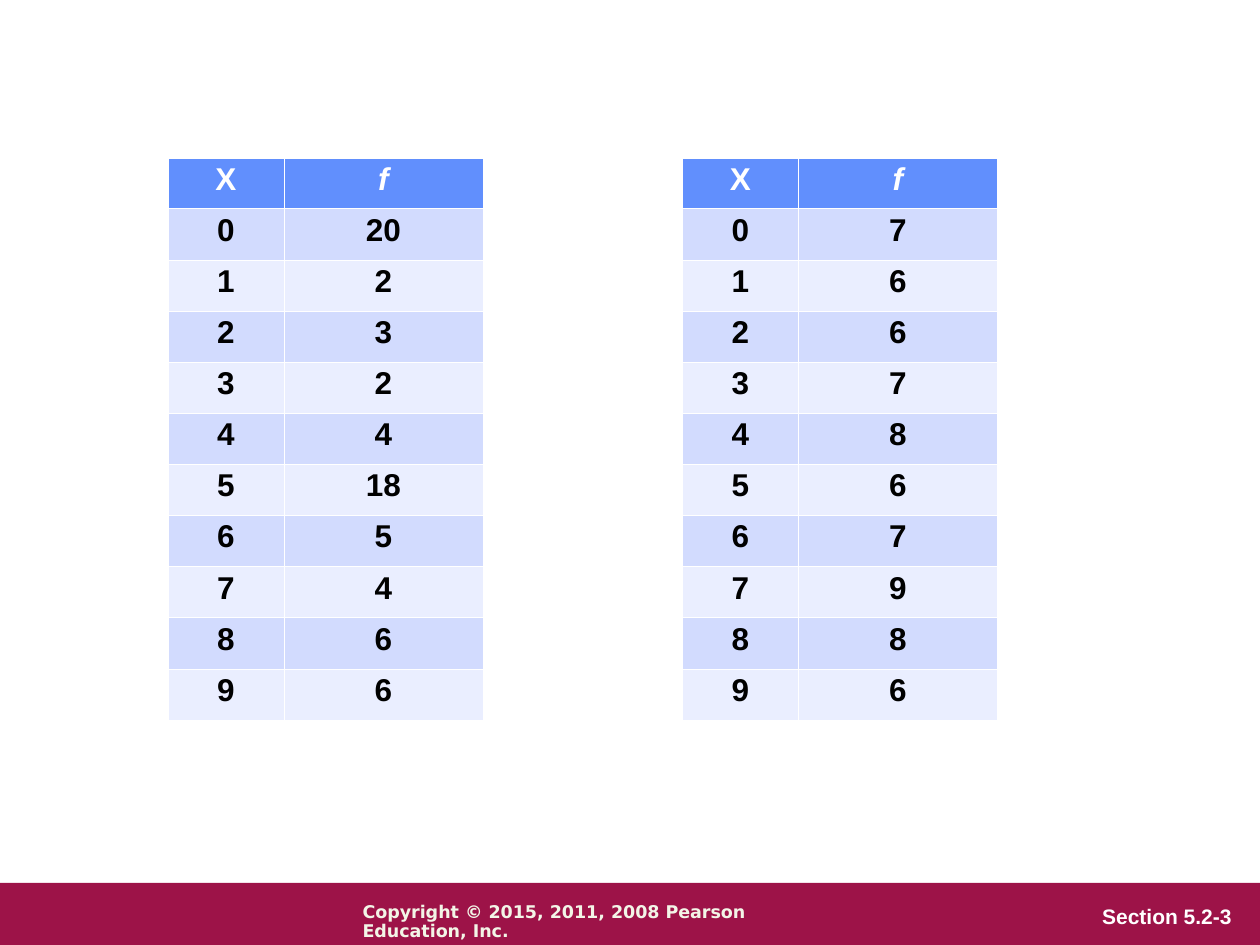
from lxml import etree
from pptx import Presentation
from pptx.dml.color import RGBColor
from pptx.enum.shapes import MSO_SHAPE
from pptx.enum.text import PP_ALIGN
from pptx.oxml.ns import qn
from pptx.util import Cm, Pt

RECTANGLE = MSO_SHAPE.RECTANGLE
CENTER = PP_ALIGN.CENTER

WHITE, BLACK, CRIMSON, CREAM = "FFFFFF", "000000", "9D1348", "F3F5E7"
HEADER_FILL = "618FFD"
BAND_FILLS = ("EAEEFF", "D2DBFE")
THIN, THICK = 0.23, 0.75

TABLE_TOP, ROW_HEIGHT = 3.18, 1.03
COLUMN_WIDTHS = (2.33, 4.02)
FREQUENCY_TABLES = (
    (3.39, (20, 2, 3, 2, 4, 18, 5, 4, 6, 6)),
    (13.76, (7, 6, 6, 7, 8, 6, 7, 9, 8, 6)),
)


def rgb(value):
    return RGBColor.from_string(value)


def style_paragraph(p, size, color, font="Arial", spacing=0.9):
    p.line_spacing = spacing
    p.font.name = font
    p.font.size = Pt(size)
    p.font.bold = True
    p.font.color.rgb = rgb(color)


def add_bar(slide, left, top, width, height, color):
    sp = slide.shapes.add_shape(RECTANGLE, Cm(left), Cm(top), Cm(width), Cm(height))
    sp.shadow.inherit = False
    sp.fill.solid()
    sp.fill.fore_color.rgb = rgb(color)
    sp.line.fill.background()


def add_label(slide, left, top, width, height, text, size, color, font):
    sp = slide.shapes.add_textbox(Cm(left), Cm(top), Cm(width), Cm(height))
    tf = sp.text_frame
    tf.word_wrap = True
    p = tf.paragraphs[0]
    p.text = text
    style_paragraph(p, size, color, font)


def set_borders(cell, top, bottom):
    tc_pr = cell._tc.get_or_add_tcPr()
    widths = {"a:lnL": THIN, "a:lnR": THIN, "a:lnT": top, "a:lnB": bottom}
    for tag, width in widths.items():
        line = etree.SubElement(tc_pr, qn(tag), w=str(Pt(width)))
        fill = etree.SubElement(line, qn("a:solidFill"))
        etree.SubElement(fill, qn("a:srgbClr"), val=WHITE)


def fill_cell(cell, text, row, italic):
    # Header row has its own colours and a heavier rule below it
    header = row == 0
    set_borders(cell, THICK if row == 1 else THIN, THICK if header else THIN)
    cell.fill.solid()
    cell.fill.fore_color.rgb = rgb(HEADER_FILL if header else BAND_FILLS[row % 2])
    p = cell.text_frame.paragraphs[0]
    p.text = str(text)
    p.alignment = CENTER
    style_paragraph(p, 18, WHITE if header else BLACK, spacing=0.93)
    p.font.italic = italic


def add_frequency_table(slide, left, frequencies):
    rows = [("X", "f"), *enumerate(frequencies)]
    table = slide.shapes.add_table(
        len(rows), len(COLUMN_WIDTHS), Cm(left), Cm(TABLE_TOP),
        Cm(sum(COLUMN_WIDTHS)), Cm(ROW_HEIGHT * len(rows))).table
    for column, width in zip(table.columns, COLUMN_WIDTHS):
        column.width = Cm(width)
    for r, values in enumerate(rows):
        table.rows[r].height = Cm(ROW_HEIGHT)
        for c, value in enumerate(values):
            fill_cell(table.cell(r, c), value, r, italic=value == "f")


def main():
    prs = Presentation()
    prs.slide_width, prs.slide_height = Cm(25.4), Cm(19.05)
    slide = prs.slides.add_slide(prs.slide_layouts[6])

    # Footer
    add_bar(slide, 0, 17.8, 25.4, 1.27, CRIMSON)
    add_label(slide, 21.97, 18.14, 3.38, 0.66, "Section 5.2-3", 12, WHITE, "Arial")
    add_label(slide, 7.06, 18.08, 9.7, 0.64,
              "Copyright © 2015, 2011, 2008 Pearson Education, Inc.",
              10, CREAM, "DejaVu Sans")

    # Frequency tables
    for left, frequencies in FREQUENCY_TABLES:
        add_frequency_table(slide, left, frequencies)

    prs.save("out.pptx")


if __name__ == "__main__":
    main()
